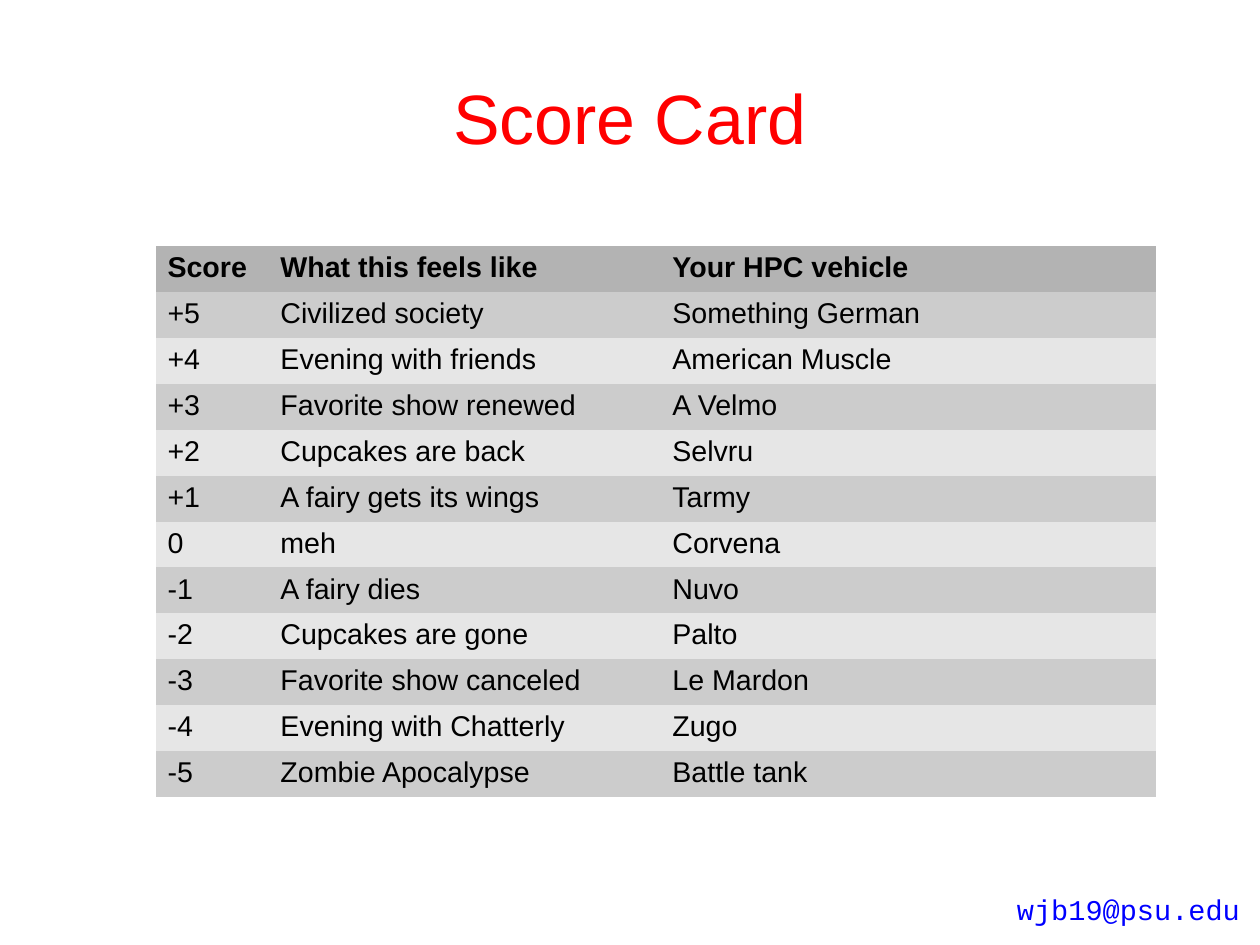
from pptx import Presentation
from pptx.dml.color import RGBColor
from pptx.enum.text import MSO_ANCHOR, PP_ALIGN
from pptx.oxml.ns import qn
from pptx.util import Cm, Pt

TITLE = "Score Card"
EMAIL = "wjb19@psu.edu"
SCORES = [
    ("Score", "What this feels like", "Your HPC vehicle"),
    ("+5", "Civilized society", "Something German"),
    ("+4", "Evening with friends", "American Muscle"),
    ("+3", "Favorite show renewed", "A Velmo"),
    ("+2", "Cupcakes are back", "Selvru"),
    ("+1", "A fairy gets its wings", "Tarmy"),
    ("0", "meh", "Corvena"),
    ("-1", "A fairy dies", "Nuvo"),
    ("-2", "Cupcakes are gone", "Palto"),
    ("-3", "Favorite show canceled", "Le Mardon"),
    ("-4", "Evening with Chatterly", "Zugo"),
    ("-5", "Zombie Apocalypse", "Battle tank"),
]
COLUMN_WIDTHS = [2.51, 8.71, 11]
ROW_HEIGHT = 1.02
HEADER_FILL = "B3B3B3"
BAND_FILLS = ["E6E6E6", "CCCCCC"]
NO_GRID_STYLE = "{2D5ABB26-0587-4C30-8999-92F81FD0307C}"


def color(value):
    return RGBColor.from_string(value)


def style(para, size, name, value, bold=False):
    para.font.size = Pt(size)
    para.font.name = name
    para.font.color.rgb = color(value)
    para.font.bold = bold


def add_title(page):
    title = page.shapes.title
    title.left, title.top = Cm(1.4), Cm(0.84)
    title.width, title.height = Cm(25.2), Cm(3.5)
    frame = title.text_frame
    frame.margin_left = frame.margin_right = 0
    frame.margin_top = frame.margin_bottom = 0
    frame.vertical_anchor = MSO_ANCHOR.MIDDLE
    frame.text = TITLE
    frame.paragraphs[0].alignment = PP_ALIGN.CENTER
    style(frame.paragraphs[0], 44, "Arial", "FF0000")


def add_scores(page):
    holder = page.shapes.add_table(
        len(SCORES), len(COLUMN_WIDTHS), Cm(3.47), Cm(5.47),
        Cm(sum(COLUMN_WIDTHS)), Cm(ROW_HEIGHT * len(SCORES)))
    for style_id in holder.element.iter(qn("a:tableStyleId")):
        style_id.text = NO_GRID_STYLE
    table = holder.table
    for column, width in zip(table.columns, COLUMN_WIDTHS):
        column.width = Cm(width)
    for index, (row, texts) in enumerate(zip(table.rows, SCORES)):
        row.height = Cm(ROW_HEIGHT)
        header = index == 0
        for cell, text in zip(row.cells, texts):
            cell.fill.solid()
            cell.fill.fore_color.rgb = color(
                HEADER_FILL if header else BAND_FILLS[index % 2])
            cell.text = text
            style(cell.text_frame.paragraphs[0], 18, "Arial", "000000", header)


def add_email(page):
    box = page.shapes.add_textbox(Cm(22.35), Cm(19.69), Cm(5.46), Cm(0.97))
    box.text_frame.word_wrap = False
    box.text_frame.text = EMAIL
    style(box.text_frame.paragraphs[0], 18, "Courier New", "0000FF")


def main():
    deck = Presentation()
    deck.slide_width, deck.slide_height = Cm(28), Cm(21)
    page = deck.slides.add_slide(deck.slide_layouts[5])
    add_title(page)
    add_scores(page)
    add_email(page)
    deck.save("out.pptx")


if __name__ == "__main__":
    main()
